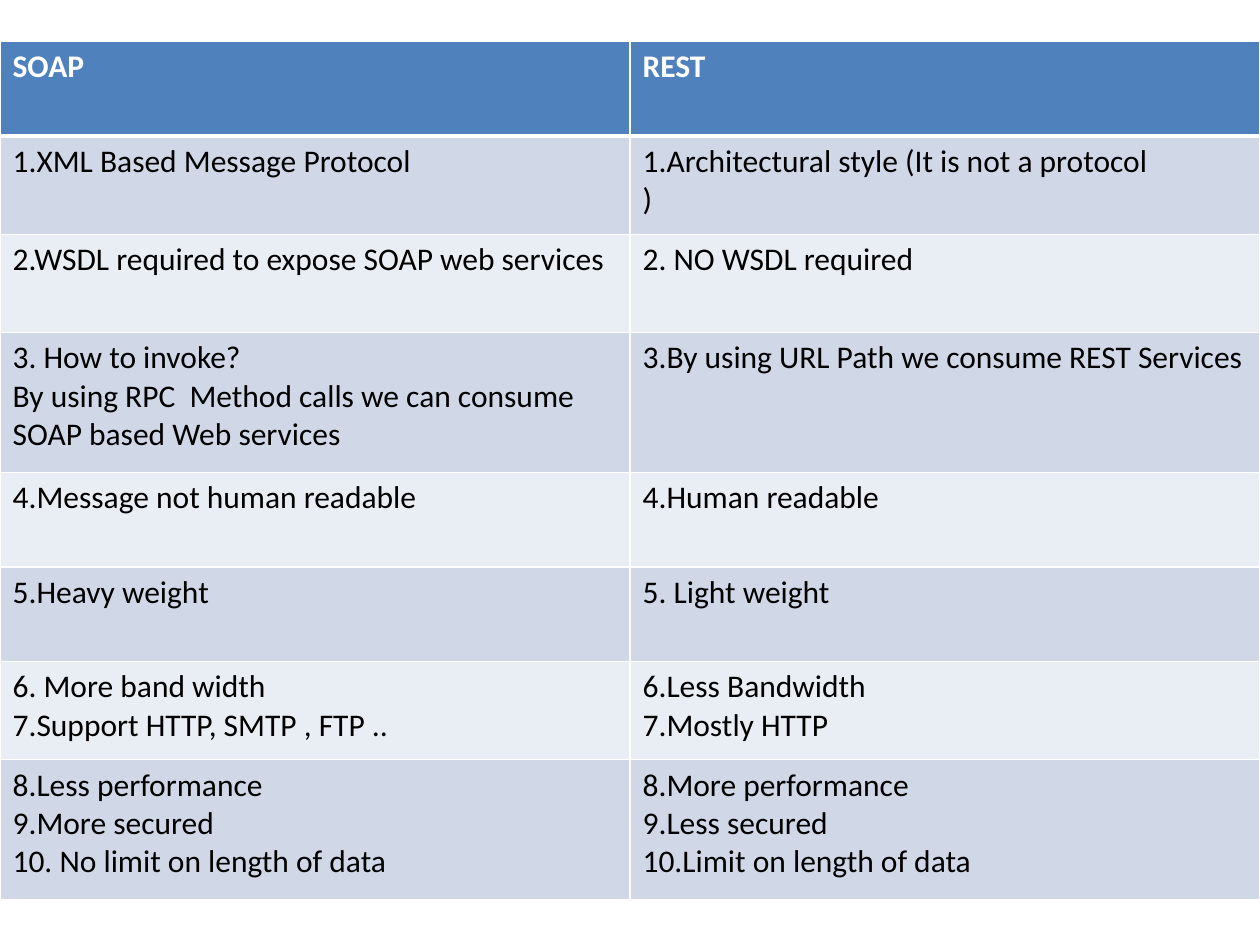
import dataclasses
import typing

import lxml.etree
import pptx
import pptx.dml.color
import pptx.oxml.ns
import pptx.util

Inches = pptx.util.Inches


@dataclasses.dataclass(frozen=True)
class Theme:
    font: str = "Calibri"
    size: int = 18
    head: str = "4F81BD"
    dark: str = "D0D8E8"
    light: str = "E9EDF4"
    white: str = "FFFFFF"
    black: str = "000000"
    thin: int = 1
    thick: int = 3


class Row(typing.NamedTuple):
    height: float
    soap: str
    rest: str


THEME = Theme()
ROWS = [
    Row(0.75, "SOAP", "REST"),
    Row(0.78, "1.XML Based Message Protocol",
        "1.Architectural style (It is not a protocol\v)"),
    Row(0.78, "2.WSDL required to expose SOAP web services",
        "2. NO WSDL required"),
    Row(1.11, "3. How to invoke?\nBy using RPC  Method calls we can consume "
        "SOAP based Web services",
        "3.By using URL Path we consume REST Services"),
    Row(0.75, "4.Message not human readable", "4.Human readable"),
    Row(0.75, "5.Heavy weight", "5. Light weight"),
    Row(0.78, "6. More band width\n7.Support HTTP, SMTP , FTP ..",
        "6.Less Bandwidth\n7.Mostly HTTP"),
    Row(1.11, "8.Less performance\n9.More secured\n"
        "10. No limit on length of data",
        "8.More performance\n9.Less secured\n10.Limit on length of data"),
]


def paint(fill: typing.Any, color: str) -> None:
    fill.solid()
    fill.fore_color.rgb = pptx.dml.color.RGBColor.from_string(color)


def write(frame: typing.Any, text: str, *, color: str, bold: bool) -> None:
    frame.text = text
    for para in frame.paragraphs:
        for run in para.runs:
            run.font.name = THEME.font
            run.font.size = pptx.util.Pt(THEME.size)
            run.font.bold = bold
            paint(run.font.fill, color)


def edge(cell: typing.Any, top: int, base: int) -> None:
    qn = pptx.oxml.ns.qn
    props = cell._tc.get_or_add_tcPr()
    sides = {"lnL": THEME.thin, "lnR": THEME.thin, "lnT": top, "lnB": base}
    for place, (side, width) in enumerate(sides.items()):
        line = lxml.etree.Element(qn(f"a:{side}"), w=str(pptx.util.Pt(width)))
        fill = lxml.etree.SubElement(line, qn("a:solidFill"))
        lxml.etree.SubElement(fill, qn("a:srgbClr"), val=THEME.white)
        props.insert(place, line)


def draw_row(table: typing.Any, index: int, row: Row) -> None:
    head = index == 0
    shade = THEME.head if head else (THEME.light, THEME.dark)[index % 2]
    table.rows[index].height = Inches(row.height)
    for col, text in enumerate((row.soap, row.rest)):
        cell = table.cell(index, col)
        write(cell.text_frame, text, bold=head,
              color=THEME.white if head else THEME.black)
        paint(cell.fill, shade)
        edge(cell, THEME.thick if index == 1 else THEME.thin,
             THEME.thick if head else THEME.thin)


def main() -> None:
    deck = pptx.Presentation()
    deck.slide_width, deck.slide_height = Inches(10), Inches(7.5)
    slide = deck.slides.add_slide(deck.slide_layouts[6])
    height = sum(row.height for row in ROWS)
    table = slide.shapes.add_table(
        len(ROWS), 2, Inches(0), Inches(0.33), Inches(10), Inches(height)
    ).table
    for index, row in enumerate(ROWS):
        draw_row(table, index, row)
    deck.save("out.pptx")


if __name__ == "__main__":
    main()
